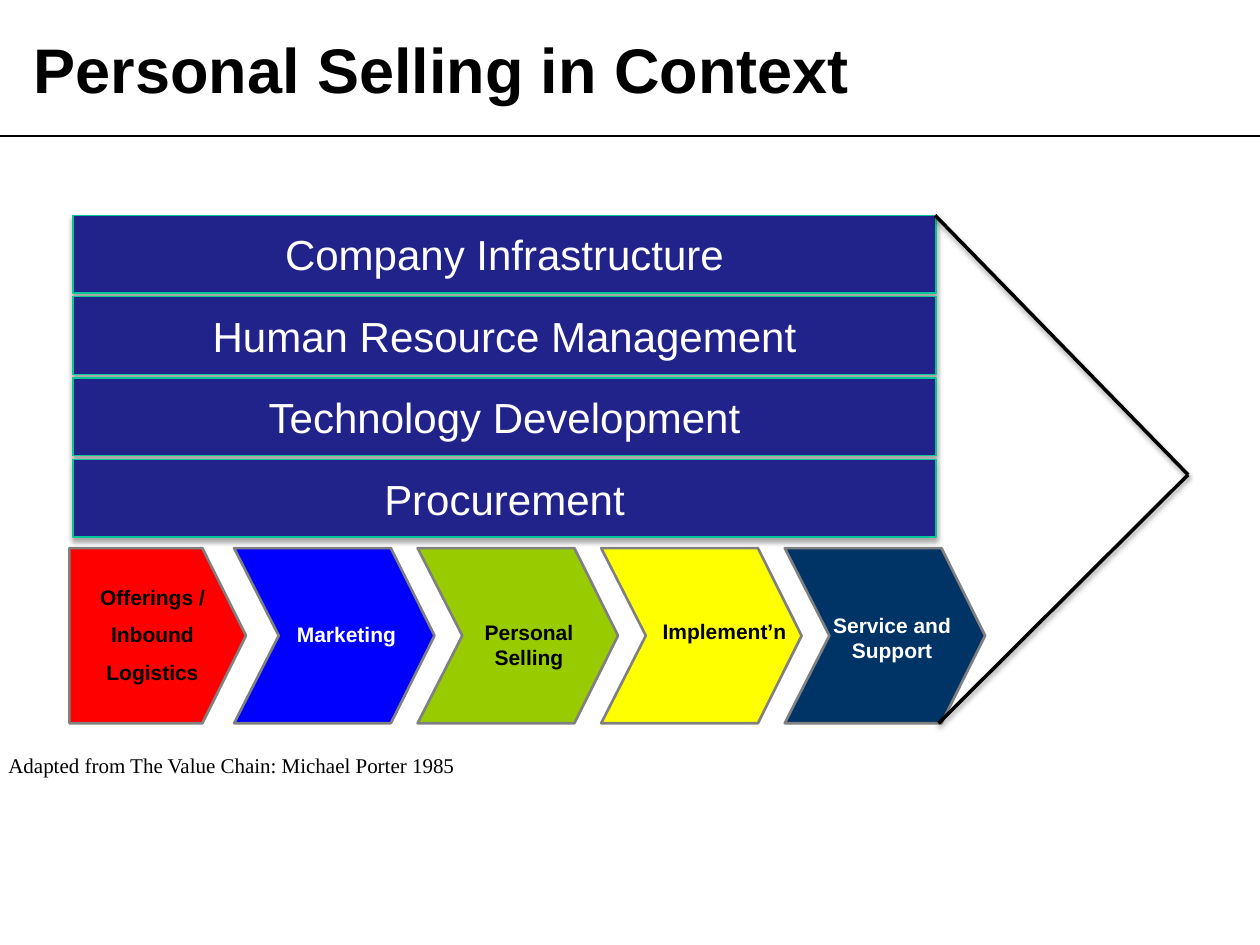
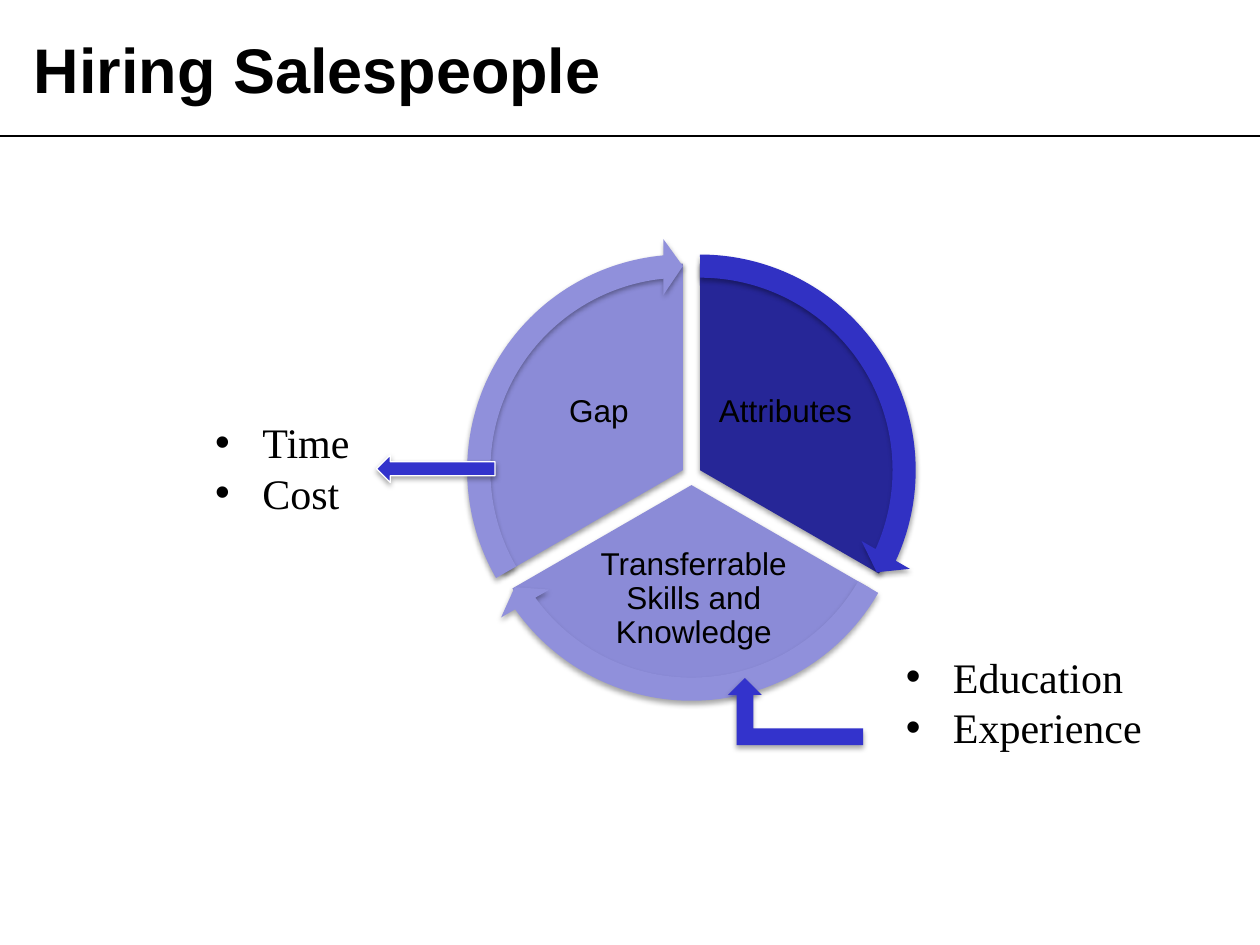
"""Build two slides on personal selling and hiring salespeople."""
from math import cos, radians, sin

from lxml.etree import SubElement
from pptx import Presentation
from pptx.dml.color import RGBColor
from pptx.enum.shapes import MSO_CONNECTOR, MSO_SHAPE
from pptx.enum.text import MSO_ANCHOR, PP_ALIGN
from pptx.oxml.ns import qn
from pptx.util import Cm, Pt

SANS, SERIF = "Arial", "Times New Roman"
BLACK, WHITE, GREY = "000000", "FFFFFF", "808080"
NAVY, TEAL, ARROW_BLUE = "22228B", "00C896", "3333CC"
SHAPE_SHADOW = (35, 1.8)
LINE_SHADOW = (38, 1.6)


def rgb(value):
    """Turn a hex string into a colour."""
    return RGBColor.from_string(value)


def add_shadow(s, alpha, distance):
    """Give a shape or connector a soft shadow that falls straight down."""
    sp_pr = s.element.spPr
    effects = sp_pr.find(qn("a:effectLst"))
    if effects is None:
        effects = SubElement(sp_pr, qn("a:effectLst"))
    outer = SubElement(effects, qn("a:outerShdw"), blurRad=str(Pt(3.1)),
                       dist=str(Pt(distance)), dir="5400000", rotWithShape="0")
    color = SubElement(outer, qn("a:srgbClr"), val=BLACK)
    SubElement(color, qn("a:alpha"), val=str(alpha * 1000))


def paint(s, fill, line=None, width=0.75, shadow=None):
    """Set the fill, outline and shadow of a shape."""
    s.shadow.inherit = False
    s.fill.solid()
    s.fill.fore_color.rgb = rgb(fill)
    if line:
        s.line.color.rgb = rgb(line)
        s.line.width = Pt(width)
    else:
        s.line.fill.background()
    if shadow:
        add_shadow(s, *shadow)


def add_bullet(p):
    """Give a paragraph a hanging round bullet."""
    p_pr = p._p.get_or_add_pPr()
    p_pr.set("marL", str(Cm(0.95)))
    p_pr.set("indent", str(-Cm(0.95)))
    SubElement(p_pr, qn("a:buFont"), typeface=SANS)
    SubElement(p_pr, qn("a:buChar"), char="•")


def write(tf, lines, size, color=BLACK, font=SANS, bold=False,
          align=PP_ALIGN.CENTER, gap=0, spacing=None, bullets=False):
    """Write each line as one formatted paragraph."""
    for i, line in enumerate(lines):
        p = tf.add_paragraph() if i else tf.paragraphs[0]
        p.alignment = align
        if i and gap:
            p.space_before = Pt(gap)
        if spacing:
            p.line_spacing = spacing
        if bullets:
            add_bullet(p)
        r = p.add_run()
        r.text = line
        r.font.name, r.font.size, r.font.bold = font, Pt(size), bold
        r.font.color.rgb = rgb(color)


def add_text(slide, box, lines, size, wrap=True, inset=None, **style):
    """Add a text box; an inset also centres the text vertically."""
    tf = slide.shapes.add_textbox(*map(Cm, box)).text_frame
    tf.word_wrap = wrap
    if inset is not None:
        tf.vertical_anchor = MSO_ANCHOR.MIDDLE
        tf.margin_left = tf.margin_right = Cm(inset)
        tf.margin_top = tf.margin_bottom = Cm(inset)
    write(tf, lines, size, **style)


def add_preset(slide, kind, box, fill, adjustments=(), **look):
    """Add a painted preset shape."""
    s = slide.shapes.add_shape(kind, *map(Cm, box))
    for i, value in enumerate(adjustments):
        s.adjustments[i] = value
    paint(s, fill, **look)
    return s


def add_line(slide, start, end, width, shadow=None):
    """Add a straight black line."""
    s = slide.shapes.add_connector(MSO_CONNECTOR.STRAIGHT, *map(Cm, start + end))
    s.line.color.rgb = rgb(BLACK)
    s.line.width = Pt(width)
    if shadow:
        add_shadow(s, *shadow)
    else:
        SubElement(s.element.spPr, qn("a:effectLst"))


def add_chevron(slide, left, width, notch, fill):
    """Add a chevron of the value chain."""
    top, height, tip = 11.05, 3.53, 0.88
    right, middle, bottom = left + width, top + height / 2, top + height
    points = [(left + notch, middle), (left, bottom), (right - tip, bottom),
              (right, middle), (right - tip, top)]
    builder = slide.shapes.build_freeform(Cm(left), Cm(top))
    builder.add_line_segments([(Cm(x), Cm(y)) for x, y in points], close=True)
    paint(builder.convert_to_shape(), fill, line=GREY, width=1.5)


def add_titled_slide(prs, title):
    """Add a slide with the shared title style and rule."""
    slide = prs.slides.add_slide(prs.slide_layouts[5])
    add_line(slide, (0, 2.74), (25.4, 2.74), 0.75)
    s = slide.shapes.title
    s.left, s.top, s.width, s.height = map(Cm, (0.43, 0.2, 24.56, 2.34))
    s.text_frame.vertical_anchor = MSO_ANCHOR.MIDDLE
    write(s.text_frame, [title], 36, bold=True, align=PP_ALIGN.LEFT)
    return slide


def add_bullet_list(slide, box, items):
    """Add a bulleted side list."""
    add_text(slide, box, items, 24, wrap=False, font=SERIF,
             align=PP_ALIGN.LEFT, bullets=True)


def build_value_chain(prs):
    """Build the value chain slide."""
    slide = add_titled_slide(prs, "Personal Selling in Context")
    supports = ["Company Infrastructure", "Human Resource Management",
                "Technology Development", "Procurement"]
    for i, label in enumerate(supports):
        s = add_preset(slide, MSO_SHAPE.RECTANGLE,
                       (1.47, 4.34 + 1.64 * i, 17.4, 1.57), NAVY,
                       line=TEAL, shadow=SHAPE_SHADOW)
        s.text_frame.vertical_anchor = MSO_ANCHOR.MIDDLE
        write(s.text_frame, [label], 24, WHITE)

    activities = [
        (["Offerings /", "Inbound", "Logistics"], "FF0000", BLACK, 1.22, 11.66, 6.9),
        (["Marketing"], "0000FF", WHITE, 5.13, 12.4, 0),
        (["Personal", "Selling"], "99CC00", BLACK, 8.81, 12.37, 0),
        (["Implement’n"], "FFFF00", BLACK, 12.75, 12.34, 0),
        (["Service and Support"], "003366", WHITE, 16.13, 12.22, 0),
    ]
    for i, (lines, fill, color, left, top, gap) in enumerate(activities):
        if i:
            add_chevron(slide, 4.72 + 3.7 * (i - 1), 4.04, 0.9, fill)
        else:
            add_chevron(slide, 1.4, 3.56, 0, fill)
        height = 0.76 if lines[0] in ("Marketing", "Implement’n") else 1.3
        add_text(slide, (left, top, 3.71, height), lines, 12, color=color,
                 bold=True, gap=gap)

    tip = (23.95, 9.57)
    add_line(slide, (18.85, 4.34), tip, 2, LINE_SHADOW)
    add_line(slide, (18.92, 14.58), tip, 2, LINE_SHADOW)
    add_text(slide, (-0.08, 15.04, 9.63, 0.76),
             ["Adapted from The Value Chain: Michael Porter 1985"], 12,
             wrap=False, font=SERIF, align=PP_ALIGN.LEFT)


def sector_box(middle, diameter):
    """Return the box of a wheel sector pushed outwards along its middle angle."""
    x = 13.94 + 0.2 * cos(radians(middle)) - diameter / 2
    y = 9.58 + 0.2 * sin(radians(middle)) - diameter / 2
    return x, y, diameter, diameter


def build_hiring_wheel(prs):
    """Build the hiring wheel slide."""
    slide = add_titled_slide(prs, "Hiring Salespeople")
    sectors = [
        ("Attributes", "262697", "3131C3", (14.35, 7.09, 2.97, 2.46)),
        ("Transferrable Skills and Knowledge", "8B8BD7", "9090DB",
         (11.76, 11, 4.45, 2.18)),
        ("Gap", "8B8BD7", "9090DB", (10.59, 7.09, 2.97, 2.46)),
    ]
    unit = 0.6
    arrows = []
    for i, (label, fill, arrow_fill, box) in enumerate(sectors):
        middle = 120 * i - 30
        start, end = (middle - 60) % 360 * unit, (middle + 60) * unit
        add_preset(slide, MSO_SHAPE.PIE, sector_box(middle, 8.33), fill,
                   (start, end), shadow=LINE_SHADOW)
        add_text(slide, box, [label], 18, inset=0.08, spacing=0.9)
        arrows.append((middle, arrow_fill, (0.05, 3.28, end - 3.28, start, 0.06)))
    for middle, fill, adjustments in arrows:
        add_preset(slide, MSO_SHAPE.CIRCULAR_ARROW, sector_box(middle, 9.35),
                   fill, adjustments, shadow=SHAPE_SHADOW)

    add_bullet_list(slide, (18.01, 13, 5.28, 2.31), ["Education", "Experience"])
    s = add_preset(slide, MSO_SHAPE.BENT_UP_ARROW, (14.68, 13.67, 2.72, 1.35),
                   ARROW_BLUE, shadow=SHAPE_SHADOW)
    s.element.spPr.xfrm.set("flipH", "1")
    add_bullet_list(slide, (4.09, 8.28, 3.23, 2.31), ["Time", "Cost"])
    add_preset(slide, MSO_SHAPE.LEFT_ARROW, (7.59, 9.17, 2.39, 0.56),
               ARROW_BLUE, line=WHITE, shadow=SHAPE_SHADOW)


def main():
    """Build and save the presentation."""
    prs = Presentation()
    prs.slide_width, prs.slide_height = Cm(25.4), Cm(19.05)
    build_value_chain(prs)
    build_hiring_wheel(prs)
    prs.save("out.pptx")


if __name__ == "__main__":
    main()
